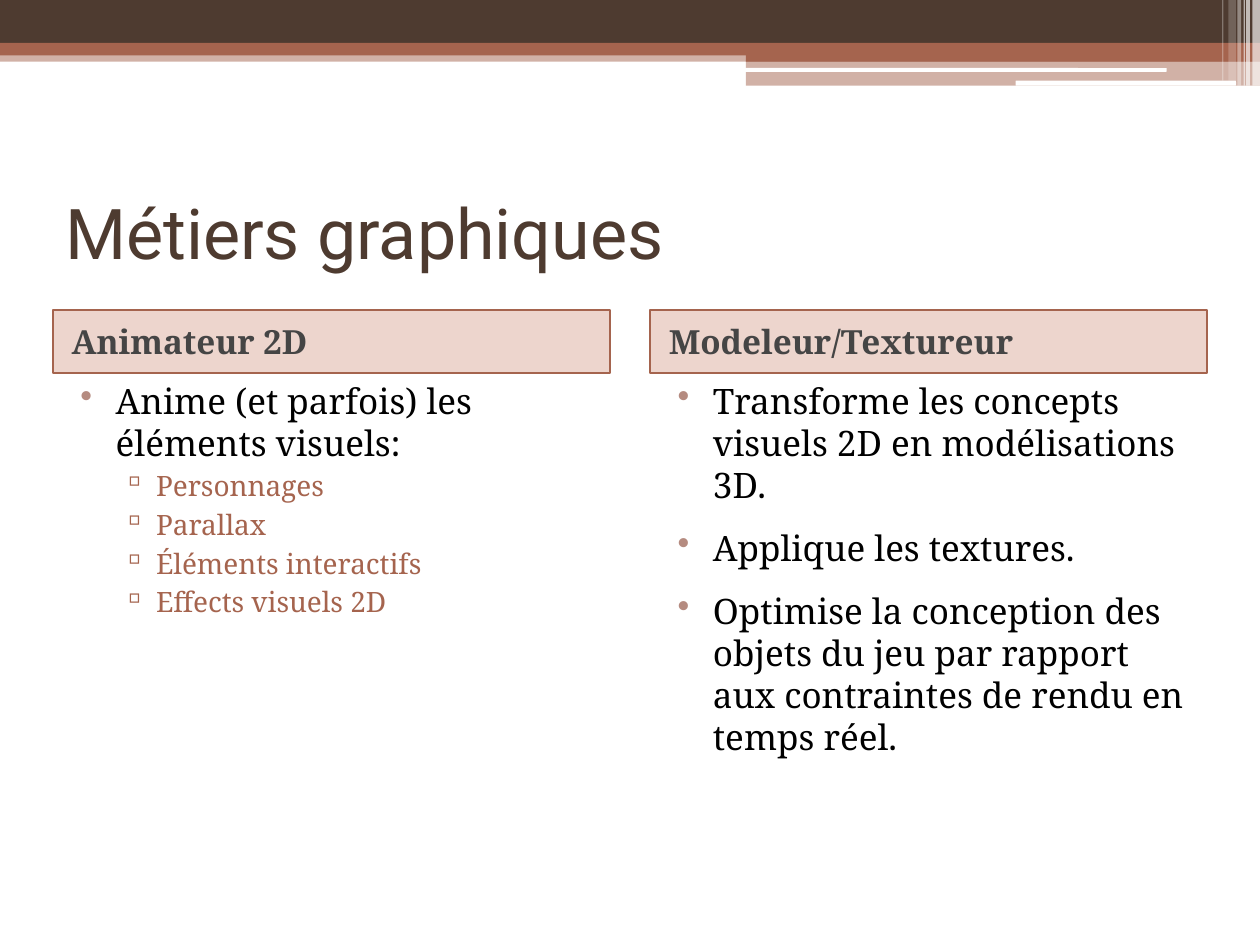
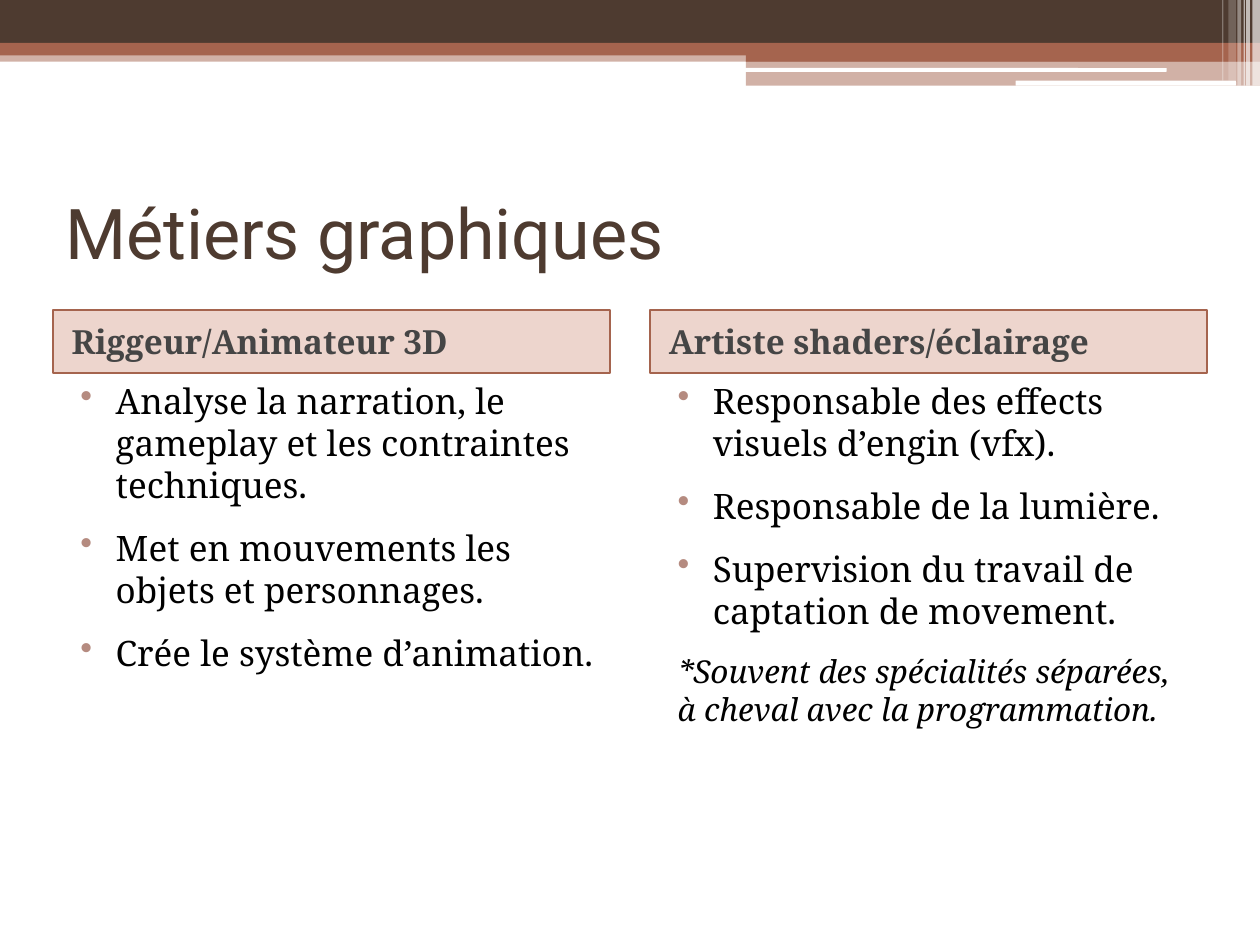
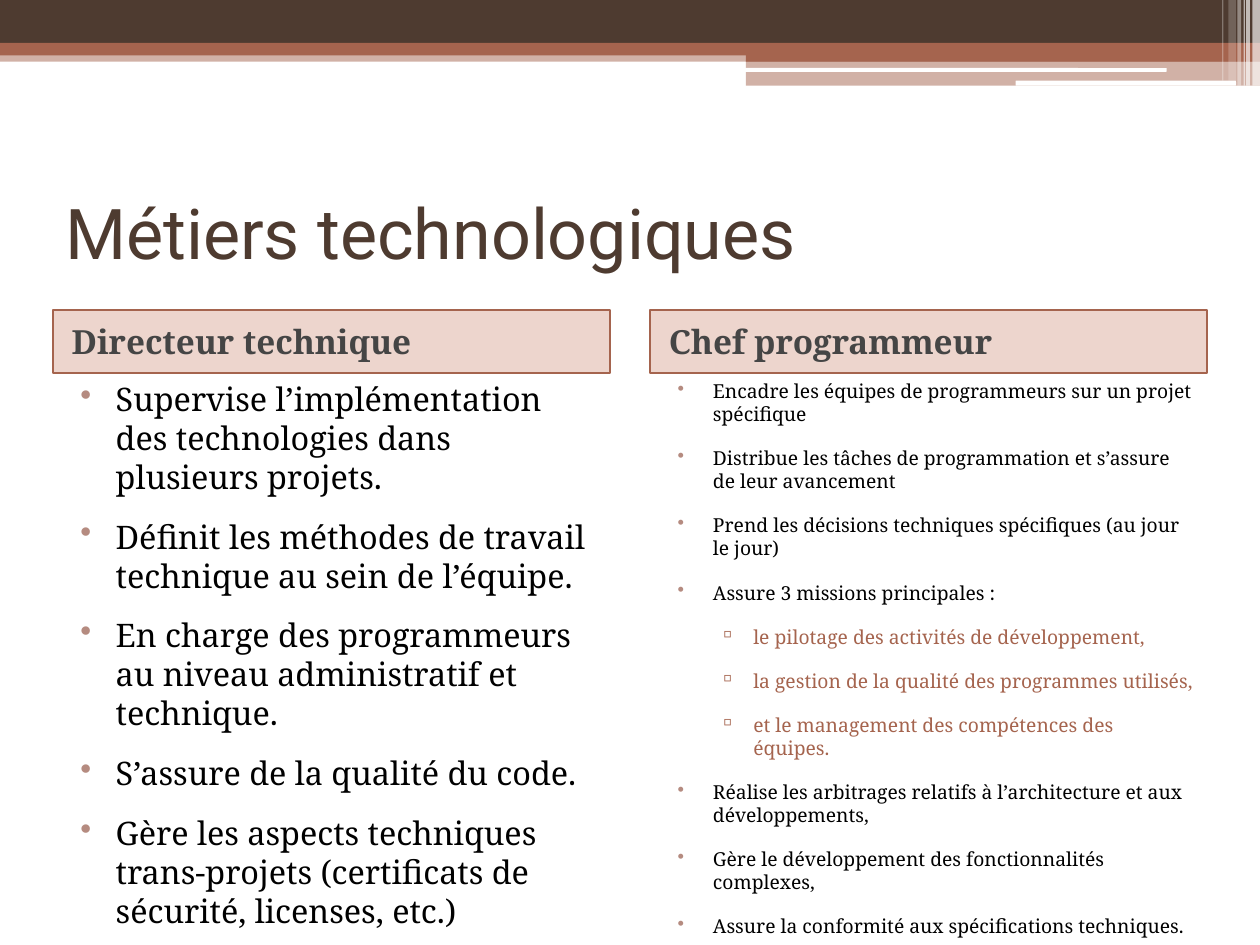
"""Build three slides on game studio jobs, each with two titled columns."""
import pptx
import pptx.dml.color
import pptx.enum.shapes
import pptx.enum.text
import pptx.oxml.ns
import pptx.util
from lxml import etree

SLIDES = [
    ("Métiers graphiques", [
        {"heading": "Animateur 2D", "gap": 3, "sizes": (20, 16), "items": [
            ("item", "Anime (et parfois) les éléments visuels:"),
            ("sub", "Personnages"),
            ("sub", "Parallax"),
            ("sub", "Éléments interactifs"),
            ("sub", "Effects visuels 2D")]},
        {"heading": "Modeleur/Textureur", "items": [
            ("item", "Transforme les concepts visuels 2D en modélisations 3D."),
            ("item", "Applique les textures."),
            ("item", "Optimise la conception des objets du jeu par rapport "
                     "aux contraintes de rendu en temps réel.")]},
    ]),
    ("Métiers graphiques", [
        {"heading": "Riggeur/Animateur 3D", "items": [
            ("item", "Analyse la narration, le gameplay et les contraintes techniques."),
            ("item", "Met en mouvements les objets et personnages."),
            ("item", "Crée le système d’animation.")]},
        {"heading": "Artiste shaders/éclairage", "items": [
            ("item", "Responsable des effects visuels d’engin (vfx)."),
            ("item", "Responsable de la lumière."),
            ("item", "Supervision du travail de captation de movement."),
            ("note", "*Souvent des spécialités séparées, à cheval avec la programmation.")]},
    ]),
    ("Métiers technologiques", [
        {"heading": "Directeur technique", "sizes": (18.5, 18.5), "items": [
            ("item", "Supervise l’implémentation des technologies dans plusieurs projets."),
            ("item", "Définit les méthodes de travail technique au sein de l’équipe."),
            ("item", "En charge des programmeurs au niveau administratif et technique."),
            ("item", "S’assure de la qualité du code."),
            ("item", "Gère les aspects techniques trans-projets "
                     "(certificats de sécurité, licenses, etc.)")]},
        {"heading": "Chef programmeur", "sizes": (11, 11), "items": [
            ("item", "Encadre les équipes de programmeurs sur un projet spécifique"),
            ("item", "Distribue les tâches de programmation et s’assure de leur avancement"),
            ("item", "Prend les décisions techniques spécifiques (au jour le jour)"),
            ("item", "Assure 3 missions principales :"),
            ("sub", "le pilotage des activités de développement,"),
            ("sub", "la gestion de la qualité des programmes utilisés,"),
            ("sub", "et le management des compétences des équipes."),
            ("item", "Réalise les arbitrages relatifs à l’architecture et aux développements,"),
            ("item", "Gère le développement des fonctionnalités complexes,"),
            ("item", "Assure la conformité aux spécifications techniques.")]},
    ]),
]

COLORS = {"brown": "4E3B30", "rust": "A5644E", "brick": "BB5938", "rose": "B58B80",
          "grey": "454545", "black": "000000", "white": "FFFFFF"}
WIDTH, HEIGHT = 10, 7.5
MARGIN, GUTTER = 0.42, 0.32
COLUMN = (WIDTH - 2 * MARGIN - GUTTER) / 2
ROWS = {"title": (1.25, 1.17), "heading": (2.46, 0.5), "body": (2.96, 4.25)}

BANDS = [
    ((0, 0.4, WIDTH, 0.09), "rust", 50),
    ((0, 0, WIDTH, 0.34), "brown", 100),
    ((0, 0.34, WIDTH, 0.1), "rust", 100),
    ((5.92, 0.39, 4.08, 0.1), "rust", 100),
    ((5.92, 0.48, 4.08, 0.2), "rust", 50),
]
PILLS = [(5.91, 0.54, 3.35, 0.03), (8.06, 0.64, 1.75, 0.04)]
STRIPES = [(9.94, 0.06, 0.68, 65), (9.89, 0.03, 0.68, 65), (9.87, 0.01, 0.68, 60),
           (9.82, 0.03, 0.68, 40), (9.75, 0.06, 0.64, 20), (9.7, 0.01, 0.64, 30)]

STYLES = {
    "title": {"font": {"name": "Roboto", "size": 40}, "color": "brown"},
    "heading": {"font": {"name": "Noto Serif", "size": 19, "bold": True},
                "color": "grey", "indent": (0.05, 0)},
    "item": {"font": {"name": "Noto Serif"}, "color": "black",
             "indent": (0.4, -0.28), "bullet": ("•", "rose")},
    "sub": {"font": {"name": "Noto Serif"}, "color": "rust", "level": 1,
            "indent": (0.72, -0.27), "bullet": ("▫", "rust")},
    "note": {"font": {"name": "Noto Serif", "size": 18, "italic": True},
             "color": "black", "indent": (0.12, 0)},
}
SHAPES = pptx.enum.shapes.MSO_SHAPE
ANCHORS = pptx.enum.text.MSO_ANCHOR


def rgb(name):
    return pptx.dml.color.RGBColor.from_string(COLORS[name])


def inches(lengths):
    return [pptx.util.Inches(length) for length in lengths]


def add_block(page, place, color, opacity=100, kind=SHAPES.RECTANGLE):
    block = page.shapes.add_shape(kind, *inches(place))
    block.shadow.inherit = False
    block.fill.solid()
    block.fill.fore_color.rgb = rgb(color)
    block.line.fill.background()
    if opacity < 100:
        tint = block.fill._xPr.find(".//" + pptx.oxml.ns.qn("a:srgbClr"))
        etree.SubElement(tint, pptx.oxml.ns.qn("a:alpha"), val=str(opacity * 1000))
    return block


def add_bullet(para, sign, color):
    properties = para._p.get_or_add_pPr()
    paint = etree.SubElement(properties, pptx.oxml.ns.qn("a:buClr"))
    etree.SubElement(paint, pptx.oxml.ns.qn("a:srgbClr"), val=COLORS[color])
    etree.SubElement(properties, pptx.oxml.ns.qn("a:buChar"), char=sign)


def write(box, lines, anchor, gap=0, sizes=(20, 20)):
    frame = box.text_frame
    frame.word_wrap = True
    frame.vertical_anchor = anchor
    for index, (kind, text) in enumerate(lines):
        style = STYLES[kind]
        para = frame.paragraphs[0] if index == 0 else frame.add_paragraph()
        level = style.get("level", 0)
        formats = {"level": level, "alignment": pptx.enum.text.PP_ALIGN.LEFT,
                   "space_before": pptx.util.Pt(gap)}
        for name, value in formats.items():
            setattr(para, name, value)
        left, first = inches(style.get("indent", (0, 0)))
        para._p.get_or_add_pPr().set("marL", str(left))
        para._p.get_or_add_pPr().set("indent", str(first))
        if "bullet" in style:
            add_bullet(para, *style["bullet"])
        span = para.add_run()
        span.text = text
        for name, value in {"size": sizes[level], **style["font"]}.items():
            setattr(span.font, name, pptx.util.Pt(value) if name == "size" else value)
        span.font.color.rgb = rgb(style["color"])


def add_banner(page):
    for place, color, opacity in BANDS:
        add_block(page, place, color, opacity)
    for place in PILLS:
        add_block(page, place, "white", kind=SHAPES.ROUNDED_RECTANGLE)
    for left, width, height, opacity in STRIPES:
        add_block(page, (left, 0, width, height), "white", opacity)


def add_column(page, left, column):
    top, height = ROWS["heading"]
    heading = add_block(page, (left, top, COLUMN, height), "brick", 25)
    heading.line.color.rgb = rgb("rust")
    heading.line.width = pptx.util.Pt(1)
    write(heading, [("heading", column["heading"])], ANCHORS.MIDDLE, 3)
    top, height = ROWS["body"]
    body = page.shapes.add_textbox(*inches((left, top, COLUMN, height)))
    write(body, column["items"], ANCHORS.TOP,
          column.get("gap", 12), column.get("sizes", (20, 20)))


def main():
    deck = pptx.Presentation()
    deck.slide_width, deck.slide_height = inches((WIDTH, HEIGHT))
    for title, columns in SLIDES:
        page = deck.slides.add_slide(deck.slide_layouts[6])
        page.background.fill.solid()
        page.background.fill.fore_color.rgb = rgb("white")
        add_banner(page)
        top, height = ROWS["title"]
        box = page.shapes.add_textbox(*inches((MARGIN, top, WIDTH - 2 * MARGIN, height)))
        write(box, [("title", title)], ANCHORS.MIDDLE)
        for index, column in enumerate(columns):
            add_column(page, MARGIN + index * (COLUMN + GUTTER), column)
    deck.save("out.pptx")


main()
